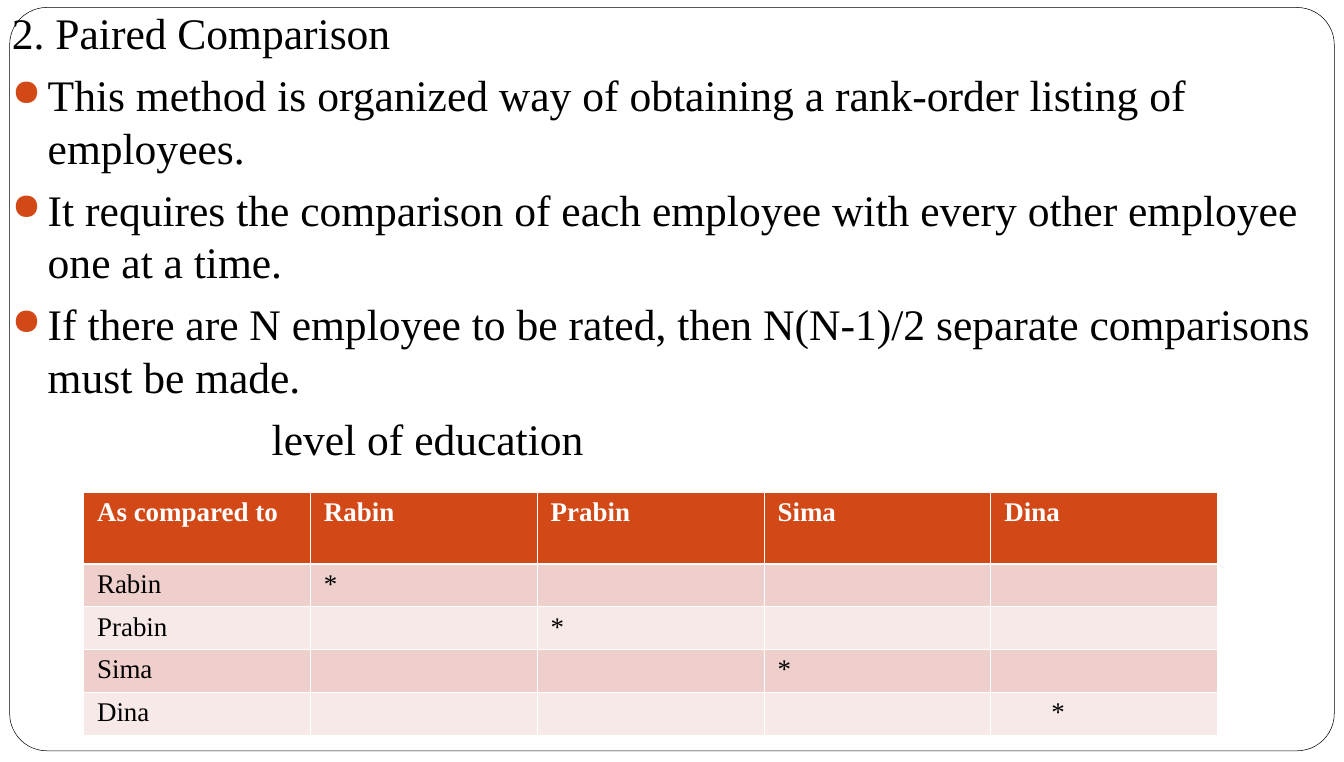
from lxml import etree
from pptx import Presentation
from pptx.dml.color import RGBColor as RGB
from pptx.enum.shapes import MSO_SHAPE
from pptx.oxml.ns import qn
from pptx.util import Inches, Pt

FONT = "Times New Roman"
BLACK = RGB(0x00, 0x00, 0x00)
WHITE = RGB(0xFF, 0xFF, 0xFF)
ORANGE = RGB(0xD3, 0x48, 0x17)
BANDS = RGB(0xEF, 0xCF, 0xCC), RGB(0xF7, 0xE9, 0xE8)

TITLE = "2. Paired Comparison"
POINTS = [
    "This method is organized way of obtaining a rank-order listing of employees.",
    "It requires the comparison of each employee with every other employee one at a time.",
    "If there are N employee to be rated, then N(N-1)/2 separate comparisons must be made.",
]
LABEL = "level of education"
CORNER = "As compared to"
NAMES = ["Rabin", "Prabin", "Sima", "Dina"]
ROWS = [[CORNER] + NAMES] + [
    [name] + ["*" if name == other else "" for other in NAMES] for name in NAMES
]


def indent(para, left, first=0):
    props = para._p.get_or_add_pPr()
    props.set("marL", str(Inches(left)))
    props.set("indent", str(Inches(first)))
    return props


def add_bullet(props):
    color = etree.SubElement(props, qn("a:buClr"))
    etree.SubElement(color, qn("a:srgbClr"), val=str(ORANGE))
    etree.SubElement(props, qn("a:buSzPct"), val="85000")
    etree.SubElement(props, qn("a:buChar"), char="●")


def style(para, size, color, bold=False):
    for run in para.runs:
        font = run.font
        font.name, font.size, font.bold = FONT, Pt(size), bold
        font.color.rgb = color


def add_borders(cell, widths):
    """Draw white cell borders; widths maps a side (L, R, T, B) to points."""
    props = cell._tc.get_or_add_tcPr()
    for side, width in widths.items():
        line = etree.SubElement(props, qn("a:ln" + side), w=str(Pt(width)))
        fill = etree.SubElement(line, qn("a:solidFill"))
        etree.SubElement(fill, qn("a:srgbClr"), val=str(WHITE))


def add_frame(slide):
    frame = slide.shapes.add_shape(
        MSO_SHAPE.ROUNDED_RECTANGLE,
        Inches(0.13), Inches(0.1), Inches(17.74), Inches(9.95))
    frame.adjustments[0] = 0.05
    frame.shadow.inherit = False
    frame.fill.solid()
    frame.fill.fore_color.rgb = WHITE
    frame.line.color.rgb = BLACK
    frame.line.width = Pt(0.5)


def add_body(slide, width, height):
    body = slide.shapes.add_textbox(0, 0, width, height).text_frame
    body.word_wrap = True
    body.margin_left = body.margin_right = Inches(0.16)
    body.margin_top = body.margin_bottom = Inches(0.08)
    body.text = "\n".join([TITLE, *POINTS, LABEL])
    for i, para in enumerate(body.paragraphs):
        para.line_spacing = Pt(50.5)
        if i:
            para.space_before = Pt(9.3)
        if para.text == LABEL:
            indent(para, 3.48)
        else:
            props = indent(para, 0.48, -0.48)
            if para.text in POINTS:
                add_bullet(props)
        style(para, 42, BLACK)


def add_grid(slide):
    table = slide.shapes.add_table(
        len(ROWS), len(ROWS[0]),
        Inches(1.12), Inches(6.59), Inches(15.19), Inches(3.24)).table
    for r, texts in enumerate(ROWS):
        head = r == 0
        table.rows[r].height = Inches(0.96 if head else 0.57)
        for c, text in enumerate(texts):
            cell = table.cell(r, c)
            add_borders(cell, {"L": 1, "R": 1, "T": 3 if r == 1 else 1, "B": 3 if head else 1})
            cell.fill.solid()
            cell.fill.fore_color.rgb = ORANGE if head else BANDS[(r - 1) % 2]
            cell.margin_left = cell.margin_right = Inches(0.18)
            cell.margin_top = cell.margin_bottom = Inches(0.07)
            cell.text_frame.text = text
            para = cell.text_frame.paragraphs[0]
            if text == "*" and r == len(NAMES):
                indent(para, 0.63)
            style(para, 26, WHITE if head else BLACK, head)


def main():
    deck = Presentation()
    deck.slide_width, deck.slide_height = Inches(18), Inches(10.2)
    slide = deck.slides.add_slide(deck.slide_layouts[6])
    add_frame(slide)
    add_body(slide, deck.slide_width, deck.slide_height)
    add_grid(slide)
    deck.save("out.pptx")


if __name__ == "__main__":
    main()
